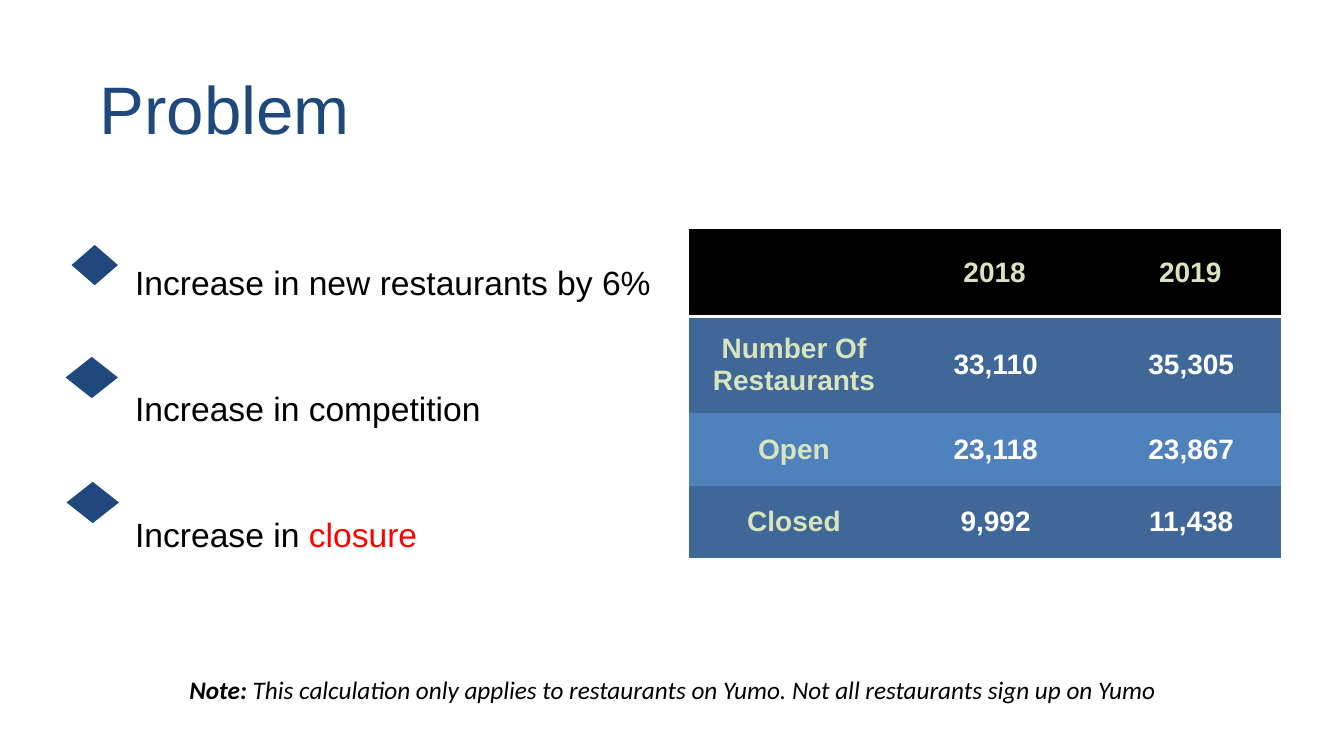
from lxml import etree
from pptx import Presentation
from pptx import util as u
from pptx.dml.color import RGBColor
from pptx.enum import shapes, text
from pptx.oxml import ns

NAVY = RGBColor(0x1F, 0x49, 0x7D)
STEEL = RGBColor(0x3F, 0x67, 0x97)
BLUE = RGBColor(0x4F, 0x81, 0xBD)
SAGE = RGBColor(0xD7, 0xE4, 0xBD)
RED = RGBColor(0xFF, 0, 0)
BLACK = RGBColor(0, 0, 0)
WHITE = RGBColor(0xFF, 0xFF, 0xFF)
PLAIN = "{2D5ABB26-0587-4C30-8999-92F81FD0307C}"


class Deck:
    """Holds the text style and the current slide, and draws on it."""

    def __init__(self, width, height, style):
        self.file = Presentation()
        self.file.slide_width = u.Inches(width)
        self.file.slide_height = u.Inches(height)
        self.slide = self.file.slides.add_slide(self.file.slide_layouts[6])
        self.style = style

    def apply(self, item, values):
        for name, value in values.items():
            setattr(item, name, value)

    def fill_text(self, frame, lines, para={}, **style):
        for i, line in enumerate(lines):
            p = frame.paragraphs[0] if i == 0 else frame.add_paragraph()
            self.apply(p, para)
            for words, extra in line:
                run = p.add_run()
                run.text = words
                look = {**self.style, **style, **extra}
                run.font.color.rgb = look.pop("color")
                self.apply(run.font, look)

    def text(self, box, lines, frame={}, para={}, **style):
        area = self.slide.shapes.add_textbox(*map(u.Inches, box)).text_frame
        self.apply(area, {"word_wrap": True, **frame})
        self.fill_text(area, lines, para, **style)

    def diamond(self, box):
        mark = self.slide.shapes.add_shape(
            shapes.MSO_SHAPE.FLOWCHART_DECISION, *map(u.Inches, box))
        mark.shadow.inherit = False
        mark.fill.solid()
        mark.fill.fore_color.rgb = NAVY
        mark.line.fill.background()

    def rule(self, cell):
        props = cell._tc.get_or_add_tcPr()
        line = etree.Element(ns.qn("a:lnB"), w=str(u.Pt(2)))
        fill = etree.SubElement(line, ns.qn("a:solidFill"))
        etree.SubElement(fill, ns.qn("a:srgbClr"), val=str(WHITE))
        props.insert(0, line)

    def table(self, left, top, cols, rows, data, fills):
        size = map(u.Inches, (left, top, sum(cols), sum(rows)))
        grid = self.slide.shapes.add_table(len(rows), len(cols), *size).table
        grid._tbl.tblPr.find(ns.qn("a:tableStyleId")).text = PLAIN
        for col, width in zip(grid.columns, cols):
            col.width = u.Inches(width)
        for r, (row, height) in enumerate(zip(grid.rows, rows)):
            row.height = u.Inches(height)
            pad = u.Inches(0.09 if r else 0.11)
            for c, cell in enumerate(row.cells):
                self.apply(cell, {
                    "vertical_anchor": text.MSO_ANCHOR.MIDDLE,
                    "margin_left": u.Inches(0.18), "margin_right": pad,
                    "margin_top": pad, "margin_bottom": pad})
                cell.fill.solid()
                cell.fill.fore_color.rgb = fills[r]
                if r == 0:
                    self.rule(cell)
                if data[r][c]:
                    self.fill_text(cell.text_frame, [[(data[r][c], {})]],
                                   {"alignment": text.PP_ALIGN.CENTER},
                                   size=u.Pt(20), bold=True,
                                   color=WHITE if r and c else SAGE)


def main():
    deck = Deck(13.33, 7.5, {"name": "Arial", "size": u.Pt(24), "color": BLACK})
    flush = dict.fromkeys(
        ("margin_left", "margin_top", "margin_right", "margin_bottom"), 0)
    deck.text((0.99, 0.64, 11.1, 0.83), [[("Problem", {})]],
              {**flush, "vertical_anchor": text.MSO_ANCHOR.BOTTOM},
              size=u.Pt(48), color=NAVY)
    deck.text((1.34, 1.8, 6.5, 5.52), [
        [("Increase in new restaurants by 6%", {})],
        [("Increase in competition", {})],
        [("Increase in ", {}), ("closure", {"color": RED})],
    ], flush, {"line_spacing": 3.0, "space_before": u.Pt(3.6)})
    deck.table(6.83, 2.27, (2, 2, 1.88), (0.87, 0.96, 0.72, 0.72), [
        ("", "2018", "2019"),
        ("Number Of Restaurants", "33,110", "35,305"),
        ("Open", "23,118", "23,867"),
        ("Closed", "9,992", "11,438"),
    ], (BLACK, STEEL, BLUE, STEEL))
    note = (" This calculation only applies to restaurants on Yumo."
            " Not all restaurants sign up on Yumo")
    deck.text((1.78, 6.64, 11.5, 0.4),
              [[("Note:", {"bold": True}), (note, {})]],
              name="Calibri", size=u.Pt(18), italic=True)
    for box in ((0.71, 2.43, 0.46, 0.4), (0.65, 3.54, 0.52, 0.41),
                (0.66, 4.78, 0.52, 0.41)):
        deck.diamond(box)
    deck.file.save("out.pptx")


if __name__ == "__main__":
    main()
